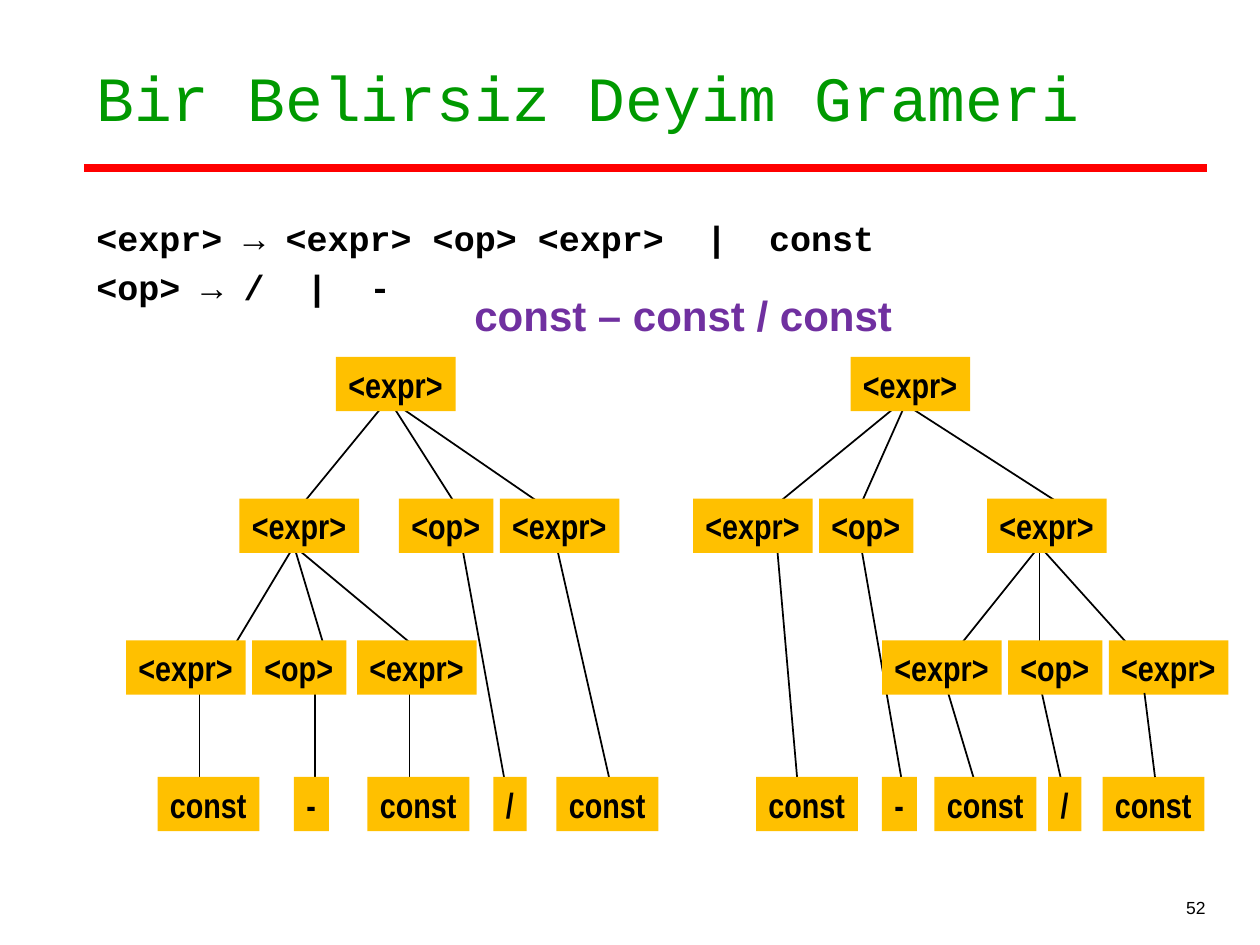
from lxml import etree
from pptx import Presentation
from pptx import util as u
from pptx.dml.color import RGBColor
from pptx.enum import shapes, text
from pptx.oxml import ns

BLACK = RGBColor(0x00, 0x00, 0x00)
RED = RGBColor(0xFF, 0x00, 0x00)
GREEN = RGBColor(0x00, 0x99, 0x00)
PURPLE = RGBColor(0x70, 0x30, 0xA0)
AMBER = RGBColor(0xFF, 0xC0, 0x00)

TITLE = "Bir Belirsiz Deyim Grameri"
GRAMMAR = ["<expr> → <expr> <op> <expr>  |  const", "<op> → /  |  -"]
SENTENCE = "const – const / const"
PAGE = "52"

NODE_HEIGHT = 31
NODE_WIDTHS = {"<expr>": 68.4, "<op>": 54, "const": 58.2, "-": 20, "/": 19}
TREE_ROWS = [
    (204, [("<expr>", 192), ("<expr>", 486)]),
    (285, [("<expr>", 136.8), ("<op>", 228), ("<expr>", 285.6),
           ("<expr>", 396), ("<op>", 468), ("<expr>", 564)]),
    (366, [("<expr>", 72), ("<op>", 144), ("<expr>", 204),
           ("<expr>", 504), ("<op>", 576), ("<expr>", 633.6)]),
    (444, [("const", 90), ("-", 168), ("const", 210), ("/", 282), ("const", 318),
           ("const", 432), ("-", 504), ("const", 534), ("/", 599), ("const", 630)]),
]

BRANCHES = [
    (228, 294, [(222, 168), (222, 318), (222, 264)]),
    (312, 372, [(168, 132), (168, 240), (168, 186)]),
    (390, 450, [(114, 114), (180, 180), (234, 234)]),
    (312, 444, [(264, 288), (318, 348)]),
    (234, 288, [(510, 444), (522, 606), (516, 492)]),
    (312, 372, [(594, 546), (594, 648), (594, 594)]),
    (312, 450, [(444, 456), (492, 516)]),
    (390, 450, [(540, 558)]),
    (390, 444, [(594, 606)]),
]
LAST_BRANCH = (654, 396, 660, 444)


def add_text(slide, lines, left, top, width, height, size, font, color=BLACK,
             bold=False, fill=None, wrap=True, align=text.PP_ALIGN.LEFT,
             anchor=text.MSO_ANCHOR.TOP, hanging=0, before=0):
    shape = slide.shapes.add_textbox(u.Pt(left), u.Pt(top), u.Pt(width), u.Pt(height))
    if fill is not None:
        shape.fill.solid()
        shape.fill.fore_color.rgb = fill
    frame = shape.text_frame
    frame.word_wrap = wrap
    frame.auto_size = (text.MSO_AUTO_SIZE.NONE if wrap
                       else text.MSO_AUTO_SIZE.SHAPE_TO_FIT_TEXT)
    frame.vertical_anchor = anchor
    frame.text = "\n".join(lines)
    for paragraph in frame.paragraphs:
        paragraph.alignment = align
        paragraph.space_before = u.Pt(before)
        if hanging:
            properties = paragraph._p.get_or_add_pPr()
            properties.set("marL", str(u.Pt(hanging)))
            properties.set("indent", str(-u.Pt(hanging)))
        for run in paragraph.runs:
            run.font.size = u.Pt(size)
            run.font.name = font
            run.font.bold = bold
            run.font.color.rgb = color
    return shape


def add_line(slide, x1, y1, x2, y2, color=BLACK, width=1):
    line = slide.shapes.add_connector(
        shapes.MSO_CONNECTOR.STRAIGHT, u.Pt(x1), u.Pt(y1), u.Pt(x2), u.Pt(y2))
    line.line.color.rgb = color
    line.line.width = u.Pt(width)
    etree.SubElement(line._element.spPr, ns.qn("a:effectLst"))


def main():
    presentation = Presentation()
    presentation.slide_width, presentation.slide_height = u.Pt(720), u.Pt(540)
    slide = presentation.slides.add_slide(presentation.slide_layouts[6])

    add_line(slide, 48, 120, 48, 120, width=0.75)
    add_line(slide, 48, 96, 690, 96, color=RED, width=4.5)
    add_text(slide, [TITLE], 48, 30, 642, 90, 36, "Courier New", color=GREEN)
    add_text(slide, GRAMMAR, 48, 120, 588, 114, 20, "Courier New", bold=True,
             hanging=27, before=4)

    for top, bottom, spans in BRANCHES:
        for start, end in spans:
            add_line(slide, start, top, end, bottom)
    for top, nodes in TREE_ROWS:
        for label, left in nodes:
            add_text(slide, [label], left, top, NODE_WIDTHS[label], NODE_HEIGHT, 20,
                     "Arial Narrow", bold=True, fill=AMBER, wrap=False)

    add_text(slide, [PAGE], 546, 492, 150, 36, 10, "Arial",
             align=text.PP_ALIGN.RIGHT, anchor=text.MSO_ANCHOR.BOTTOM)
    add_text(slide, [SENTENCE], 264, 162, 255.6, 36, 24, "Arial", color=PURPLE,
             bold=True, wrap=False)
    add_line(slide, *LAST_BRANCH)
    presentation.save("out.pptx")


if __name__ == "__main__":
    main()
